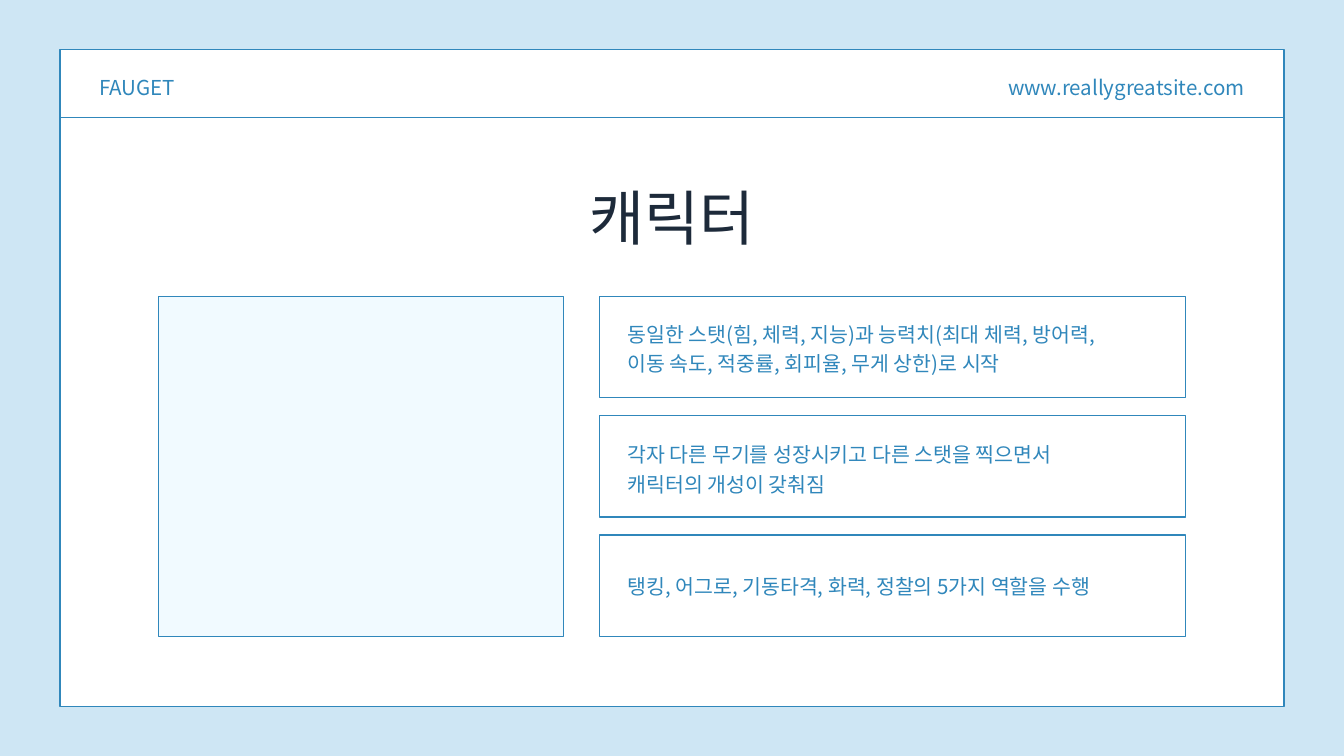
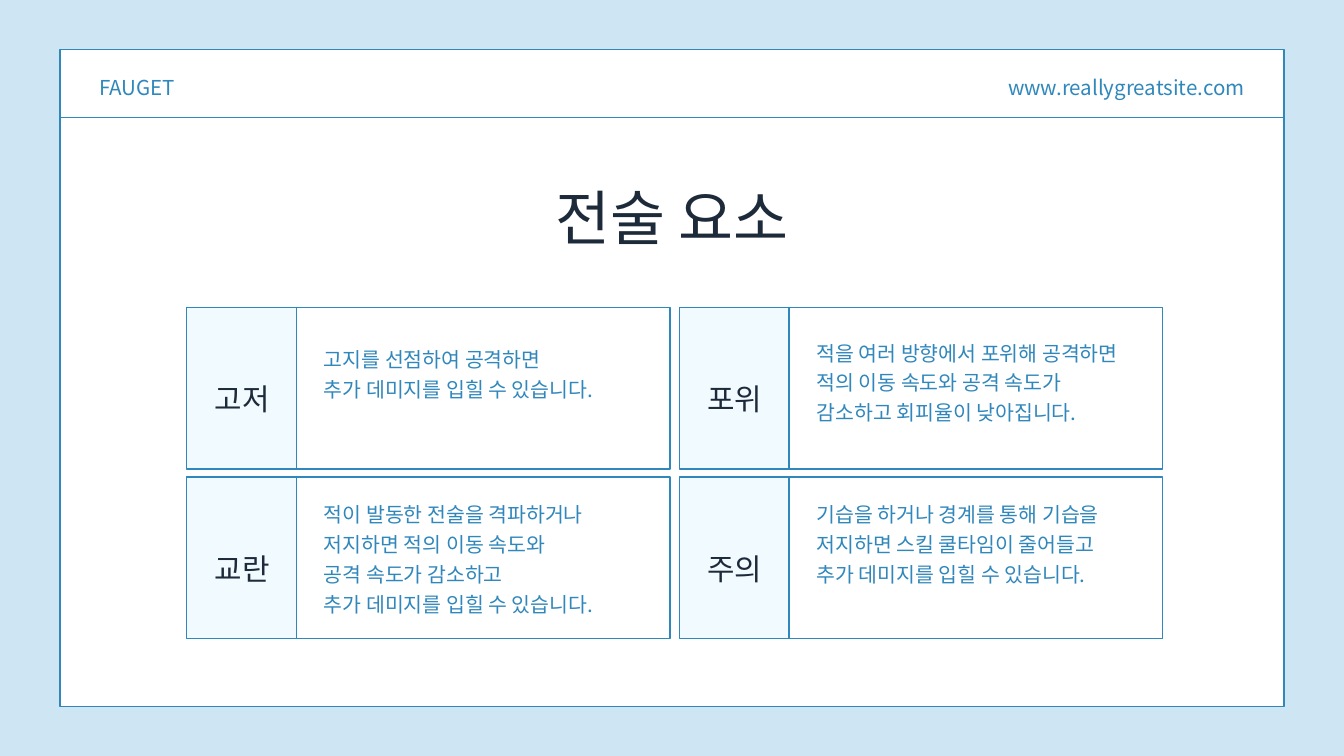
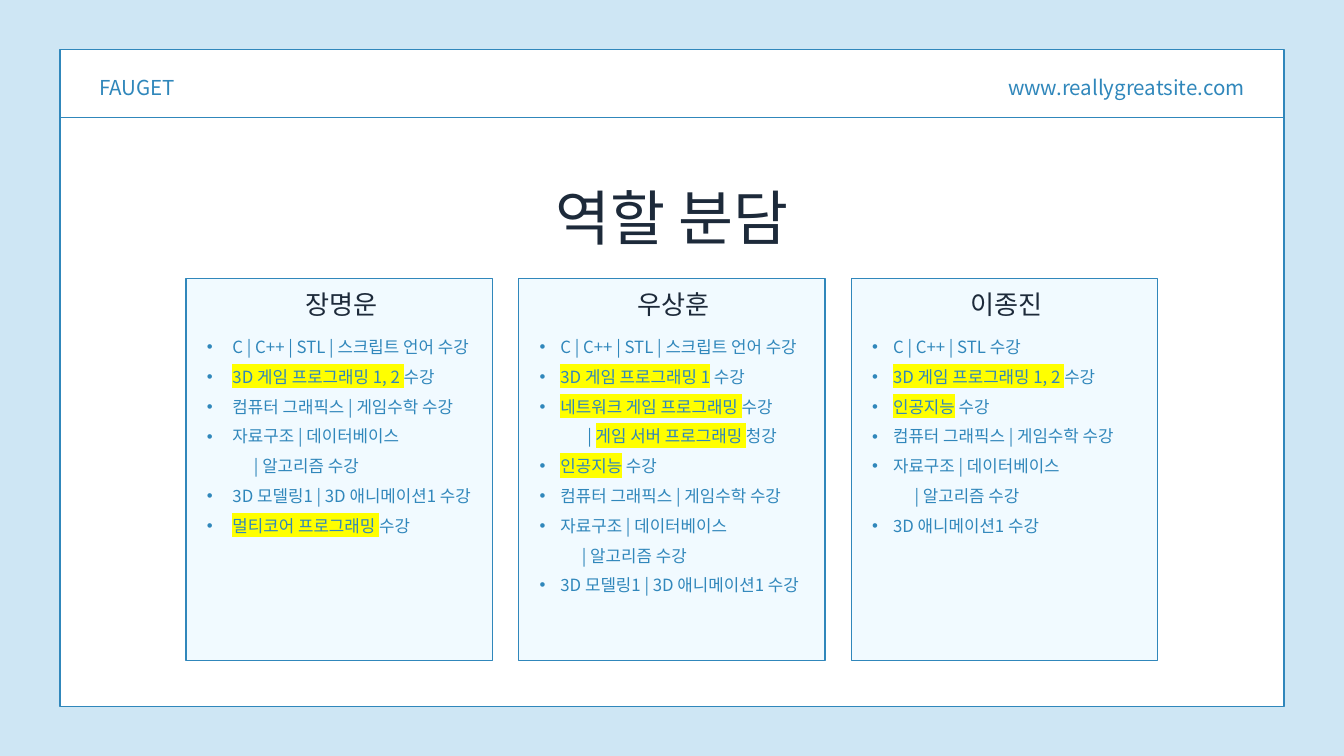
from dataclasses import dataclass

from lxml import etree
from pptx import Presentation
from pptx.dml.color import RGBColor
from pptx.enum.shapes import MSO_CONNECTOR, MSO_SHAPE
from pptx.enum.text import MSO_AUTO_SIZE, PP_ALIGN
from pptx.oxml.ns import qn
from pptx.util import Inches, Pt

LEFT, CENTER, RIGHT, JUSTIFY = PP_ALIGN.LEFT, PP_ALIGN.CENTER, PP_ALIGN.RIGHT, PP_ALIGN.JUSTIFY
RECTANGLE = MSO_SHAPE.RECTANGLE
STRAIGHT = MSO_CONNECTOR.STRAIGHT
FIT_SHAPE = MSO_AUTO_SIZE.SHAPE_TO_FIT_TEXT


@dataclass(frozen=True)
class TextStyle:
    size: float
    spacing: float
    color: str


@dataclass(frozen=True)
class Theme:
    font: str = "Noto Sans CJK KR"
    background: str = "CEE6F4"
    white: str = "FFFFFF"
    pale: str = "F1FAFF"
    blue: str = "3087BB"
    highlight: str = "FFFF00"
    line_width: float = 1.5
    title: TextStyle = TextStyle(64, 89.6, "1D2A3A")
    label: TextStyle = TextStyle(32, 89.6, "1D2A3A")
    name: TextStyle = TextStyle(28, 33.6, "1D2A3A")
    header: TextStyle = TextStyle(22, 30.8, "3087BB")
    body: TextStyle = TextStyle(22, 31.9, "3087BB")
    course: TextStyle = TextStyle(18, 31.9, "3087BB")


THEME = Theme()

BRAND = "FAUGET"
WEBSITE = "www.reallygreatsite.com"

# Text, its offset from the card top, alignment
CHARACTER_CARDS = [
    ("동일한 스탯(힘, 체력, 지능)과 능력치(최대 체력, 방어력,\n"
     "이동 속도, 적중률, 회피율, 무게 상한)로 시작", 0.3, LEFT),
    ("각자 다른 무기를 성장시키고 다른 스탯을 찍으면서\n캐릭터의 개성이 갖춰짐", 0.32, LEFT),
    ("탱킹, 어그로, 기동타격, 화력, 정찰의 5가지 역할을 수행", 0.51, JUSTIFY),
]

# Label, description, offset of the description from the card top
TACTICS = [
    ("고저", "고지를 선점하여 공격하면\n추가 데미지를 입힐 수 있습니다.", 0.51),
    ("포위", "적을 여러 방향에서 포위해 공격하면\n"
             "적의 이동 속도와 공격 속도가 감소하고 회피율이 낮아집니다.", 0.41),
    ("교란", "적이 발동한 전술을 격파하거나 저지하면 적의 이동 속도와\n"
             "공격 속도가 감소하고\n추가 데미지를 입힐 수 있습니다.", 0.3),
    ("주의", "기습을 하거나 경계를 통해 기습을\n"
             "저지하면 스킬 쿨타임이 줄어들고 추가 데미지를 입힐 수 있습니다.", 0.3),
]

# Text between asterisks is highlighted; a tuple is a continuation line and its extra indent
LANGUAGES = "C | C++ | STL | 스크립트 언어 수강"
GAME_PROGRAMMING = "*3D 게임 프로그래밍 1, 2 *수강"
ARTIFICIAL_INTELLIGENCE = "*인공지능* 수강"
GRAPHICS = "컴퓨터 그래픽스 | 게임수학 수강"
DATA_STRUCTURES = ["자료구조 | 데이터베이스", ("| 알고리즘 수강", 0.32)]
MODELING = "3D 모델링1 | 3D 애니메이션1 수강"

# Name, width of the list, hanging indent, courses
MEMBERS = [
    ("장명운", 4, 0.38, [
        LANGUAGES, GAME_PROGRAMMING, GRAPHICS, *DATA_STRUCTURES, MODELING,
        "*멀티코어 프로그래밍 *수강"]),
    ("우상훈", 3.94, 0.31, [
        LANGUAGES, "*3D 게임 프로그래밍 1* 수강", "*네트워크 게임 프로그래밍 *수강",
        ("| *게임 서버 프로그래밍 *청강", 0.4),
        ARTIFICIAL_INTELLIGENCE, GRAPHICS, *DATA_STRUCTURES, MODELING]),
    ("이종진", 3.94, 0.31, [
        "C | C++ | STL 수강", GAME_PROGRAMMING, ARTIFICIAL_INTELLIGENCE, GRAPHICS,
        *DATA_STRUCTURES, "3D 애니메이션1 수강"]),
]


def rgb(color):
    return RGBColor.from_string(color)


def add_panel(slide, left, top, width, height, fill):
    panel = slide.shapes.add_shape(
        RECTANGLE, Inches(left), Inches(top), Inches(width), Inches(height))
    panel.shadow.inherit = False
    panel.fill.solid()
    panel.fill.fore_color.rgb = rgb(fill)
    panel.line.color.rgb = rgb(THEME.blue)
    panel.line.width = Pt(THEME.line_width)


def add_text_frame(slide, left, top, width, height):
    box = slide.shapes.add_textbox(Inches(left), Inches(top), Inches(width), Inches(height))
    frame = box.text_frame
    frame.margin_left = frame.margin_right = frame.margin_top = frame.margin_bottom = 0
    frame.word_wrap = True
    frame.auto_size = FIT_SHAPE
    return frame


def style_paragraph(paragraph, style, alignment):
    paragraph.alignment = alignment
    paragraph.line_spacing = Pt(style.spacing)
    font = paragraph.font
    font.size = Pt(style.size)
    font.color.rgb = rgb(style.color)
    font.name = THEME.font
    default_properties = paragraph._p.pPr.find(qn("a:defRPr"))
    etree.SubElement(default_properties, qn("a:ea"), typeface=THEME.font)


def add_text(slide, text, left, top, width, height, style, alignment=LEFT):
    paragraph = add_text_frame(slide, left, top, width, height).paragraphs[0]
    paragraph.text = text
    style_paragraph(paragraph, style, alignment)


def add_marked_runs(paragraph, text):
    """Add runs, highlighting every part that stands between asterisks."""
    for index, part in enumerate(text.split("*")):
        if not part:
            continue
        run = paragraph.add_run()
        run.text = part
        if index % 2:
            properties = run._r.get_or_add_rPr()
            highlight = etree.SubElement(properties, qn("a:highlight"))
            etree.SubElement(highlight, qn("a:srgbClr"), val=THEME.highlight)


def add_course_list(slide, courses, left, top, width, height, hanging):
    frame = add_text_frame(slide, left, top, width, height)
    for index, course in enumerate(courses):
        paragraph = frame.paragraphs[0] if index == 0 else frame.add_paragraph()
        is_bullet = isinstance(course, str)
        text, extra_indent = (course, 0) if is_bullet else course
        add_marked_runs(paragraph, text)
        properties = paragraph._p.get_or_add_pPr()
        properties.set("marL", str(Inches(hanging + extra_indent)))
        properties.set("indent", str(Inches(-hanging) if is_bullet else 0))
        if is_bullet:
            etree.SubElement(properties, qn("a:buFont"), typeface="Arial")
            etree.SubElement(properties, qn("a:buChar"), char="•")
        else:
            etree.SubElement(properties, qn("a:buNone"))
        style_paragraph(paragraph, THEME.course, LEFT)


def add_framed_slide(presentation, title):
    """Add a slide with the background, frame, header and title that all slides share."""
    slide = presentation.slides.add_slide(presentation.slide_layouts[6])
    slide.background.fill.solid()
    slide.background.fill.fore_color.rgb = rgb(THEME.background)
    add_panel(slide, 0.89, 0.74, 18.22, 9.77, THEME.white)
    divider = slide.shapes.add_connector(
        STRAIGHT, Inches(0.89), Inches(1.75), Inches(19.11), Inches(1.75))
    divider.line.color.rgb = rgb(THEME.blue)
    divider.line.width = Pt(THEME.line_width)
    etree.SubElement(divider._element.spPr, qn("a:effectLst"))
    add_text(slide, WEBSITE, 14.41, 1.06, 4.11, 0.42, THEME.header, RIGHT)
    add_text(slide, BRAND, 1.48, 1.06, 3.22, 0.42, THEME.header)
    add_text(slide, title, 6.33, 2.51, 7.34, 1.26, THEME.title, CENTER)
    return slide


def build_character_slide(presentation):
    slide = add_framed_slide(presentation, "캐릭터")
    top, pitch = 4.41, 1.775
    add_panel(slide, 2.36, top, 6.03, 5.06, THEME.pale)
    for row, (text, offset, alignment) in enumerate(CHARACTER_CARDS):
        card_top = top + row * pitch
        add_panel(slide, 8.92, card_top, 8.72, 1.51, THEME.white)
        add_text(slide, text, 9.34, card_top + offset, 8.03, 0.87, THEME.body, alignment)


def build_tactics_slide(presentation):
    slide = add_framed_slide(presentation, "전술 요소")
    height = 2.4
    for index, (label, description, offset) in enumerate(TACTICS):
        row, column = divmod(index, 2)
        left, top = 2.78 + column * 7.33, 4.58 + row * 2.52
        add_panel(slide, left, top, 1.67, height, THEME.pale)
        add_panel(slide, left + 1.63, top, 5.56, height, THEME.white)
        add_text(slide, label, left + 0.35, top + 0.38, 0.95, 1.08, THEME.label, CENTER)
        add_text(slide, description, left + 2.04, top + offset, 4.75, 1.32, THEME.body)


def build_roles_slide(presentation):
    slide = add_framed_slide(presentation, "역할 분담")
    top, width = 4.14, 4.56
    for column, (name, list_width, hanging, courses) in enumerate(MEMBERS):
        left = 2.77 + column * 4.95
        add_panel(slide, left, top, width, 5.69, THEME.pale)
        add_text(slide, name, left + 0.03, top + 0.15, width, 0.48, THEME.name, CENTER)
        add_course_list(slide, courses, left + 0.31, top + 0.73, list_width, 4.45, hanging)


def main():
    presentation = Presentation()
    presentation.slide_width = Inches(20)
    presentation.slide_height = Inches(11.25)
    build_character_slide(presentation)
    build_tactics_slide(presentation)
    build_roles_slide(presentation)
    presentation.save("out.pptx")


if __name__ == "__main__":
    main()
